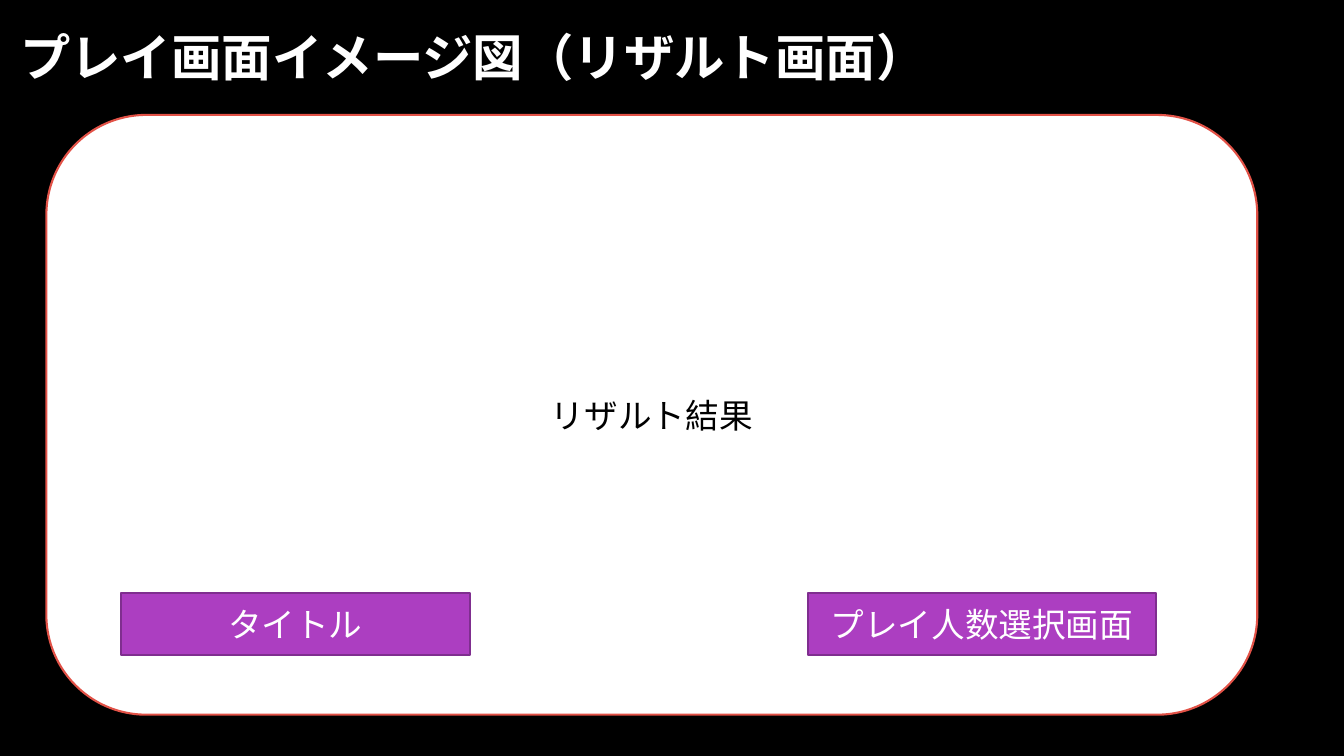
from dataclasses import dataclass

from pptx import Presentation
from pptx.dml.color import RGBColor
from pptx.enum.shapes import MSO_SHAPE
from pptx.enum.text import MSO_ANCHOR, MSO_AUTO_SIZE, PP_ALIGN
from pptx.oxml.xmlchemy import OxmlElement
from pptx.util import Pt

RECT = MSO_SHAPE.RECTANGLE
ROUNDED = MSO_SHAPE.ROUNDED_RECTANGLE
LEFT, CENTER = PP_ALIGN.LEFT, PP_ALIGN.CENTER
MIDDLE = MSO_ANCHOR.MIDDLE
NO_AUTOFIT = MSO_AUTO_SIZE.NONE
TITLE_ONLY = 5
EMU_PER_PX = 9144  # 100 px to the inch


@dataclass(frozen=True)
class Theme:
    font: str = "Noto Sans CJK JP"
    background: str = "000000"
    title_text: str = "FFFFFF"
    screen_fill: str = "FFFFFF"
    screen_line: str = "E25247"
    screen_text: str = "000000"
    button_fill: str = "AC3EC1"
    button_line: str = "7F2E8F"
    button_text: str = "FFFFFF"
    title_size: int = 36
    label_size: int = 24
    line_width: float = 1.5


@dataclass(frozen=True)
class Panel:
    label: str
    box: tuple[int, int, int, int]
    kind: int
    fill: str
    line: str
    color: str


THEME = Theme()


def px(n: int) -> int:
    return n * EMU_PER_PX


def rgb(color: str) -> RGBColor:
    return RGBColor.from_string(color)


def write_text(tf, text: str, size: int, color: str, align: int,
               bold: bool = False) -> None:
    tf.word_wrap = True
    tf.auto_size = NO_AUTOFIT
    tf.vertical_anchor = MIDDLE
    p = tf.paragraphs[0]
    p.alignment = align
    r = p.add_run()
    r.text = text
    r.font.size = Pt(size)
    r.font.bold = bold
    r.font.color.rgb = rgb(color)
    r.font.name = THEME.font
    # Japanese glyphs take the East Asian font
    ea = OxmlElement("a:ea")
    ea.set("typeface", THEME.font)
    r.font._element.append(ea)


def add_panel(s, panel: Panel) -> None:
    sp = s.shapes.add_shape(panel.kind, *map(px, panel.box))
    sp.shadow.inherit = False
    sp.fill.solid()
    sp.fill.fore_color.rgb = rgb(panel.fill)
    sp.line.color.rgb = rgb(panel.line)
    sp.line.width = Pt(THEME.line_width)
    write_text(sp.text_frame, panel.label, THEME.label_size, panel.color, CENTER)


def button(label: str, left: int) -> Panel:
    return Panel(label, (left, 588, 346, 62), RECT,
                 THEME.button_fill, THEME.button_line, THEME.button_text)


PANELS = [
    Panel("リザルト結果", (46, 114, 1201, 595), ROUNDED,
          THEME.screen_fill, THEME.screen_line, THEME.screen_text),
    button("タイトル", 120),
    button("プレイ人数選択画面", 801),
]


def main() -> None:
    prs = Presentation()
    prs.slide_width, prs.slide_height = px(1333), px(750)
    s = prs.slides.add_slide(prs.slide_layouts[TITLE_ONLY])
    s.background.fill.solid()
    s.background.fill.fore_color.rgb = rgb(THEME.background)

    # Title
    title = s.shapes.title
    title.left, title.top, title.width, title.height = map(px, (10, 19, 930, 73))
    write_text(title.text_frame, "プレイ画面イメージ図（リザルト画面）",
               THEME.title_size, THEME.title_text, LEFT, bold=True)

    # Result screen and its buttons
    for panel in PANELS:
        add_panel(s, panel)

    prs.save("out.pptx")


if __name__ == "__main__":
    main()
